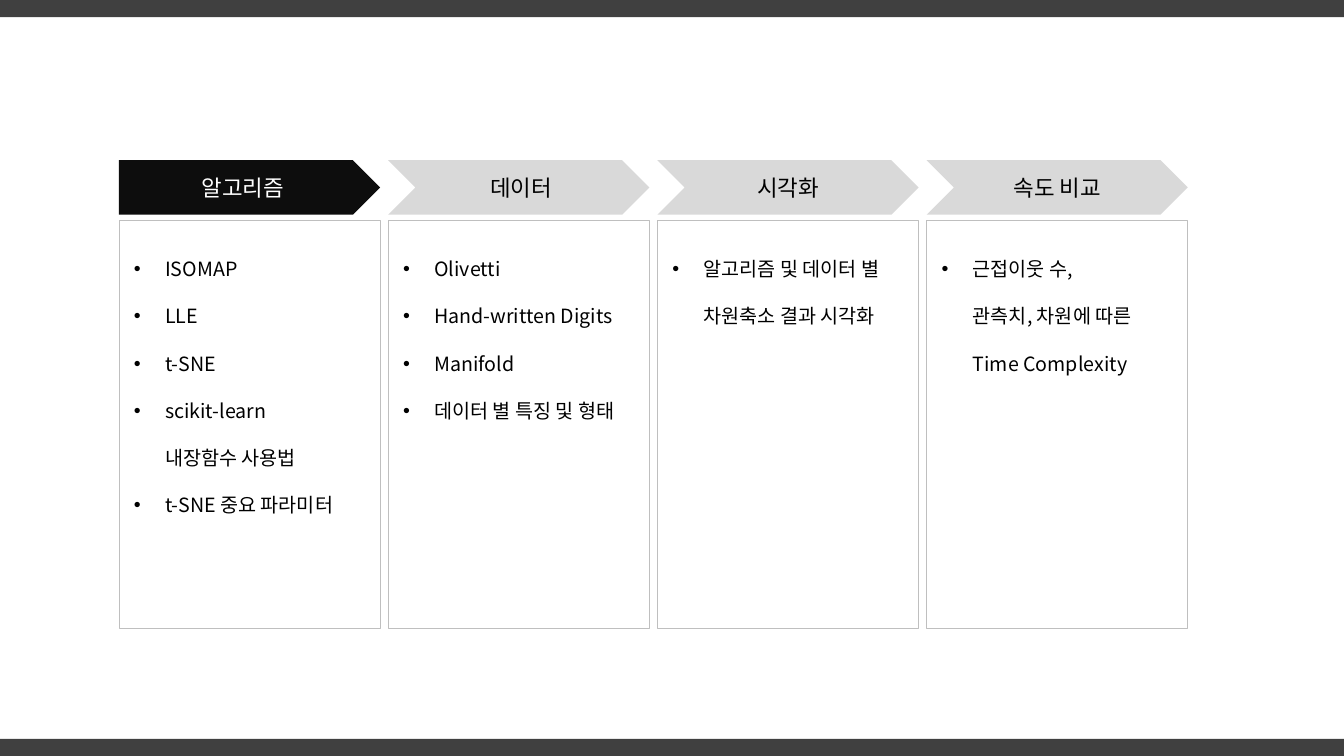
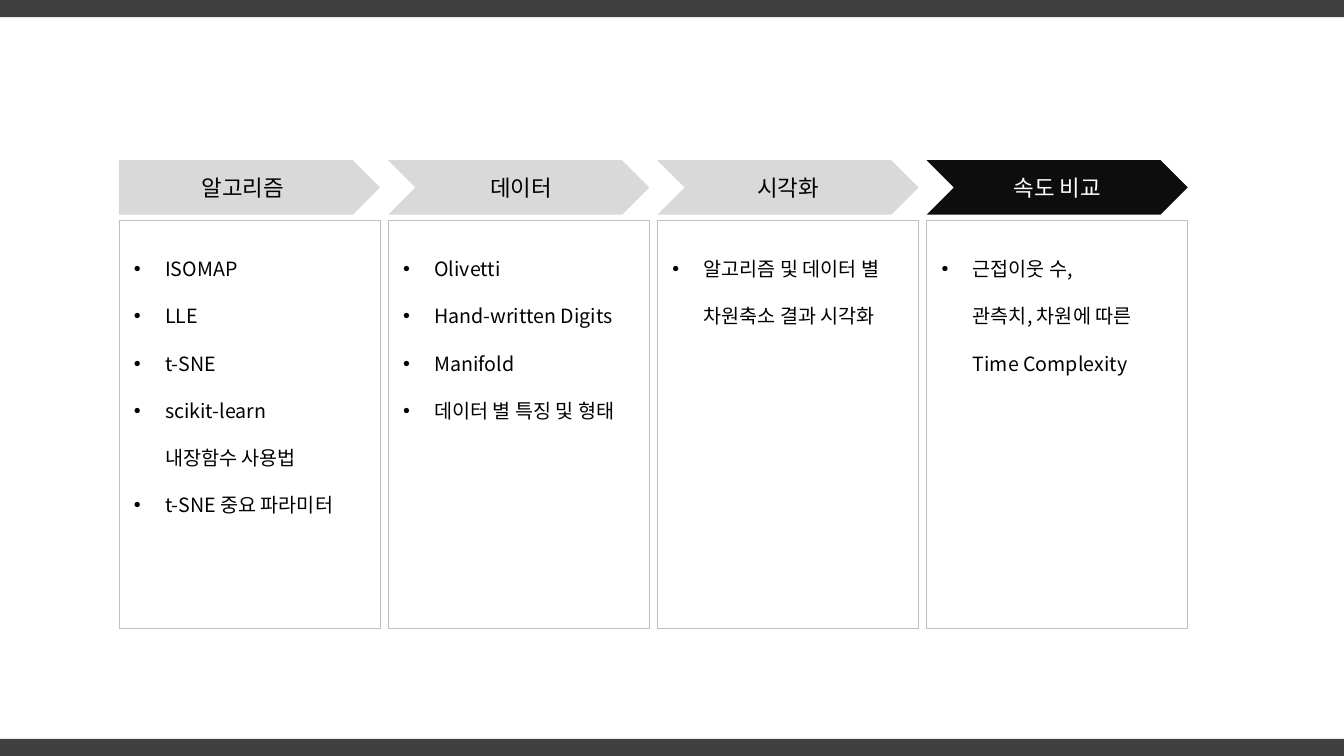
from pptx import Presentation
from pptx.dml.color import RGBColor as RGB
from pptx.enum.shapes import MSO_SHAPE as Kind
from pptx.enum.text import MSO_ANCHOR as Anchor, MSO_AUTO_SIZE as Fit, PP_ALIGN as Align
from pptx.oxml.ns import qn
from pptx.util import Inches, Pt
from lxml.etree import SubElement as Sub

FONT = "Noto Sans CJK KR"
HUES = {"bar": "404040", "edge": "BFBFBF", "on": "0D0D0D", "off": "D9D9D9",
        "light": "FFFFFF", "dark": "000000"}
STEPS = [
    ("알고리즘", ["ISOMAP", "LLE", "t-SNE", "scikit-learn\n내장함수 사용법", "t-SNE 중요 파라미터"]),
    (" 데이터", ["Olivetti", "Hand-written Digits", "Manifold", "데이터 별 특징 및 형태"]),
    ("시각화", ["알고리즘 및 데이터 별\n차원축소 결과 시각화"]),
    ("속도 비교", ["근접이웃 수,\n관측치, 차원에 따른\nTime Complexity"]),
]
LEFT, PITCH, WIDE = 1.18, 2.67, 2.59
LINE = 0.47


def draw(slide, kind, x, y, w, h, fill=None, edge=None):
    shape = slide.shapes.add_shape(kind, Inches(x), Inches(y), Inches(w), Inches(h))
    shape.shadow.inherit = False
    if fill:
        shape.fill.solid()
        shape.fill.fore_color.rgb = RGB.from_string(HUES[fill])
    else:
        shape.fill.background()
    if edge:
        shape.line.color.rgb = RGB.from_string(HUES[edge])
        shape.line.width = Pt(0.5)
    else:
        shape.line.fill.background()
    return shape


def style(para, size, hue):
    para.font.size = Pt(size)
    para.font.name = FONT
    para.font.color.rgb = RGB.from_string(HUES[hue])
    Sub(para._p.pPr.find(qn("a:defRPr")), qn("a:ea"), typeface=FONT)


deck = Presentation()
deck.slide_width, deck.slide_height = Inches(13.33), Inches(7.5)

for now in (0, 3):
    slide = deck.slides.add_slide(deck.slide_layouts[6])
    for y in (-0.02, 7.33):
        draw(slide, Kind.RECTANGLE, 0, y, 13.33, 0.19, "bar")

    for i, (title, items) in enumerate(STEPS):
        x = LEFT + i * PITCH
        draw(slide, Kind.RECTANGLE, x, 2.19, WIDE, 4.04, edge="edge")

        kind = Kind.CHEVRON if i else Kind.PENTAGON
        head = draw(slide, kind, x, 1.59, WIDE, 0.54, "on" if i == now else "off")
        head.text_frame.vertical_anchor = Anchor.MIDDLE
        para = head.text_frame.paragraphs[0]
        para.text = title
        para.alignment = Align.CENTER
        style(para, 16, "light" if i == now else "dark")

        rows = sum(item.count("\n") + 1 for item in items)
        box = slide.shapes.add_textbox(Inches(x + 0.05), Inches(2.27),
                                       Inches(2.36), Inches(0.1 + rows * LINE))
        frame = box.text_frame
        frame.word_wrap = True
        frame.auto_size = Fit.SHAPE_TO_FIT_TEXT
        for n, item in enumerate(items):
            para = frame.add_paragraph() if n else frame.paragraphs[0]
            para.text = item
            para.line_spacing = 2.0
            props = para._p.get_or_add_pPr()
            props.set("marL", str(Inches(0.31)))
            props.set("indent", str(Inches(-0.31)))
            Sub(props, qn("a:buFont"), typeface="Arial")
            Sub(props, qn("a:buChar"), char="•")
            style(para, 14, "dark")

deck.save("out.pptx")
